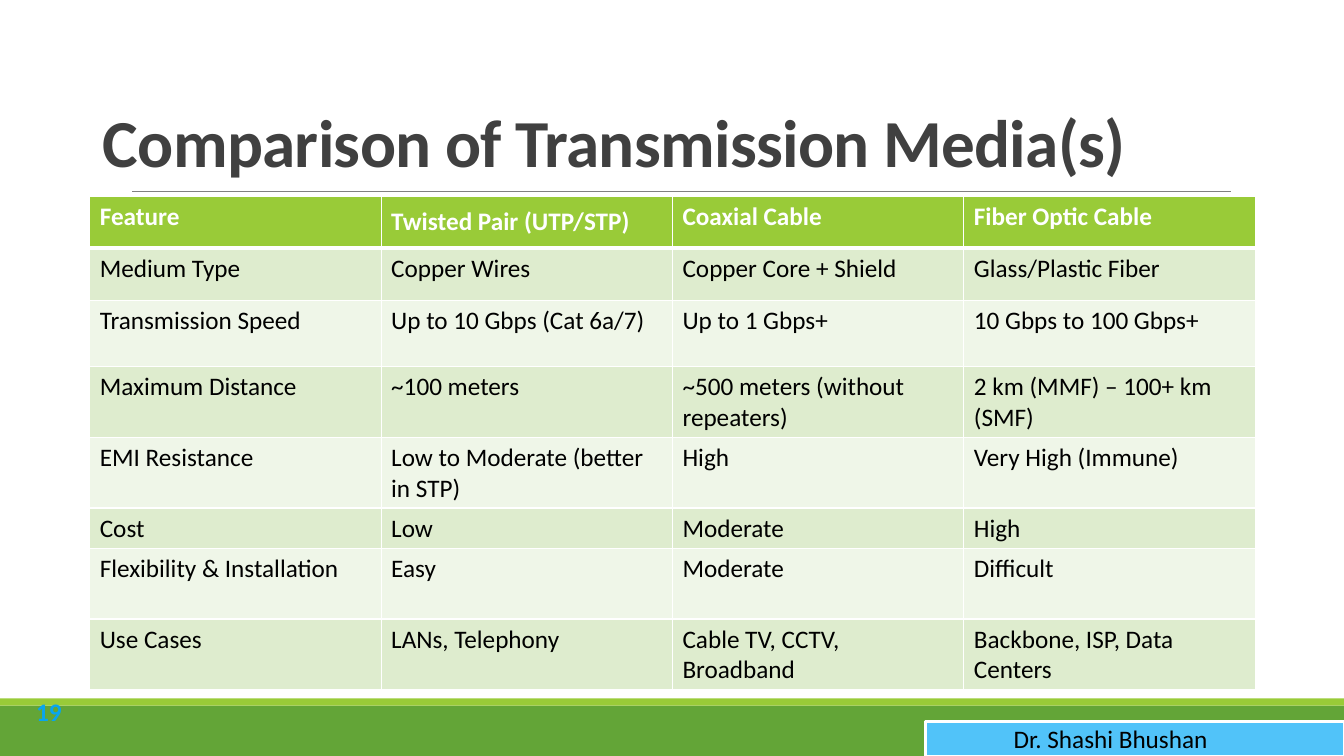
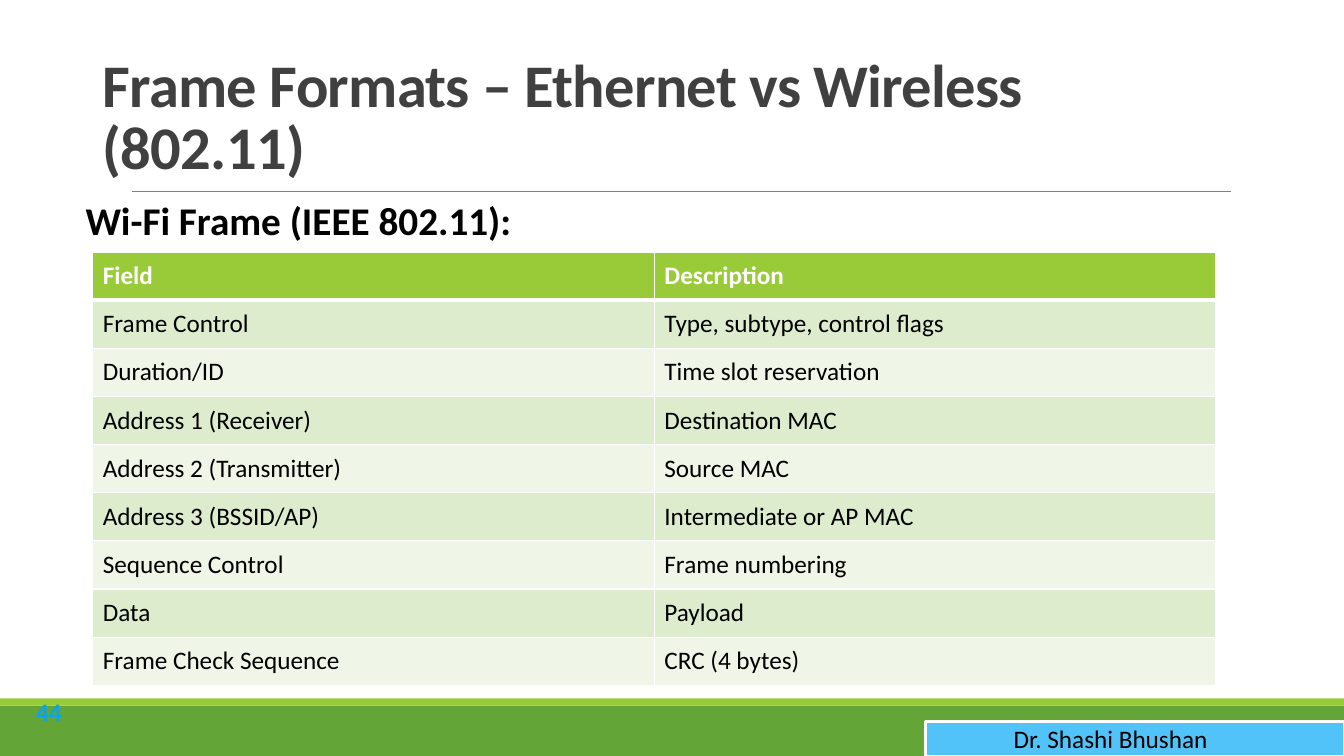
from lxml import etree
from pptx import Presentation
from pptx.dml.color import RGBColor
from pptx.enum.shapes import MSO_CONNECTOR, MSO_SHAPE
from pptx.enum.text import MSO_ANCHOR, MSO_AUTO_SIZE, PP_ALIGN
from pptx.oxml.ns import qn
from pptx.util import Inches, Pt

STRAIGHT, RECTANGLE = MSO_CONNECTOR.STRAIGHT, MSO_SHAPE.RECTANGLE
TOP, MIDDLE, BOTTOM = MSO_ANCHOR.TOP, MSO_ANCHOR.MIDDLE, MSO_ANCHOR.BOTTOM
LEFT, CENTER = PP_ALIGN.LEFT, PP_ALIGN.CENTER
FIXED, GROW = MSO_AUTO_SIZE.NONE, MSO_AUTO_SIZE.SHAPE_TO_FIT_TEXT

WHITE = RGBColor(0xFF, 0xFF, 0xFF)
BLACK = RGBColor(0x00, 0x00, 0x00)
DARK_GRAY = RGBColor(0x40, 0x40, 0x40)
RULE_GRAY = RGBColor(0x80, 0x80, 0x80)
GREEN = RGBColor(0x63, 0xA5, 0x37)
LIME = RGBColor(0x99, 0xCB, 0x38)
BAND_DARK = RGBColor(0xDE, 0xEC, 0xCE)
BAND_LIGHT = RGBColor(0xEF, 0xF6, 0xE8)
SKY = RGBColor(0x51, 0xC3, 0xF9)
NUMBER_BLUE = RGBColor(0x08, 0xA5, 0xEF)

FONT = "Calibri"
SLIDE_WIDTH, SLIDE_HEIGHT = 13.33, 7.5
TITLE_ONLY = 5
AUTHOR = "Dr. Shashi Bhushan"

MEDIA_ROWS = [
    ("Feature", "Twisted Pair (UTP/STP)", "Coaxial Cable", "Fiber Optic Cable"),
    ("Medium Type", "Copper Wires", "Copper Core + Shield", "Glass/Plastic Fiber"),
    ("Transmission Speed", "Up to 10 Gbps (Cat 6a/7)", "Up to 1 Gbps+", "10 Gbps to 100 Gbps+"),
    ("Maximum Distance", "~100 meters", "~500 meters (without repeaters)",
     "2 km (MMF) – 100+ km (SMF)"),
    ("EMI Resistance", "Low to Moderate (better in STP)", "High", "Very High (Immune)"),
    ("Cost", "Low", "Moderate", "High"),
    ("Flexibility & Installation", "Easy", "Moderate", "Difficult"),
    ("Use Cases", "LANs, Telephony", "Cable TV, CCTV, Broadband", "Backbone, ISP, Data Centers"),
]
MEDIA_HEIGHTS = [0.51, 0.52, 0.66, 0.7, 0.7, 0.4, 0.7, 0.7]

FRAME_ROWS = [
    ("Field", "Description"),
    ("Frame Control", "Type, subtype, control flags"),
    ("Duration/ID", "Time slot reservation"),
    ("Address 1 (Receiver)", "Destination MAC"),
    ("Address 2 (Transmitter)", "Source MAC"),
    ("Address 3 (BSSID/AP)", "Intermediate or AP MAC"),
    ("Sequence Control", "Frame numbering"),
    ("Data", "Payload"),
    ("Frame Check Sequence", "CRC (4 bytes)"),
]


def to_inches(box):
    return [Inches(length) for length in box]


def style_paragraph(para, size, color, bold=False, align=LEFT):
    para.alignment = align
    para.font.name = FONT
    para.font.size = Pt(size)
    para.font.bold = bold
    para.font.color.rgb = color


def add_rectangle(slide, box, fill, line=None):
    shape = slide.shapes.add_shape(RECTANGLE, *to_inches(box))
    shape.shadow.inherit = False
    shape.fill.solid()
    shape.fill.fore_color.rgb = fill
    if line is None:
        shape.line.fill.background()
    else:
        shape.line.color.rgb = line
        shape.line.width = Pt(2)


def add_text(slide, box, text, size, color, bold=False, align=LEFT,
             anchor=TOP, auto_size=GROW):
    frame = slide.shapes.add_textbox(*to_inches(box)).text_frame
    frame.word_wrap = True
    frame.auto_size = auto_size
    frame.vertical_anchor = anchor
    frame.text = text
    style_paragraph(frame.paragraphs[0], size, color, bold, align)


def set_title(slide, box, text, size):
    title = slide.shapes.title
    title.left, title.top, title.width, title.height = to_inches(box)
    frame = title.text_frame
    frame.text = text
    frame.word_wrap = True
    frame.auto_size = FIXED
    frame.vertical_anchor = BOTTOM
    para = frame.paragraphs[0]
    para.line_spacing = 0.85
    style_paragraph(para, size, DARK_GRAY, bold=True)
    # Slightly tightened letters
    para.runs[0]._r.get_or_add_rPr().set("spc", "-50")


def add_rule(slide, left, right, top):
    rule = slide.shapes.add_connector(
        STRAIGHT, Inches(left), Inches(top), Inches(right), Inches(top))
    rule.line.color.rgb = RULE_GRAY
    rule.line.width = Pt(0.5)
    etree.SubElement(rule._element.spPr, qn("a:effectLst"))


def add_footer(slide, box, number):
    left, top, width, height = box
    strip = 0.07
    add_rectangle(slide, box, GREEN)
    add_rectangle(slide, (left, top - strip, width, strip), LIME)
    # Author label at the right edge
    label_width = 4.15
    label_left = left + width - label_width
    add_rectangle(slide, (label_left, top + 0.16, label_width, height - 0.16), SKY, WHITE)
    add_text(slide, (label_left, top + 0.13, 3.67, 0.4), AUTHOR, 18, BLACK, align=CENTER)
    # Page number
    add_text(slide, (left + 0.21, top - 0.2, 0.55, 0.51), number, 18, NUMBER_BLUE,
             bold=True, align=CENTER, anchor=MIDDLE, auto_size=FIXED)


def set_borders(cell, widths):
    properties = cell._tc.get_or_add_tcPr()
    for side, width in zip("LRTB", widths):
        line = etree.SubElement(properties, qn("a:ln" + side), w=str(Pt(width)))
        fill = etree.SubElement(line, qn("a:solidFill"))
        etree.SubElement(fill, qn("a:srgbClr"), val=str(WHITE))


def add_banded_table(slide, box, rows, heights, anchor):
    table = slide.shapes.add_table(len(rows), len(rows[0]), *to_inches(box)).table
    table.horz_banding = False
    for column in table.columns:
        column.width = Inches(box[2] / len(rows[0]))
    for row_index, (texts, height) in enumerate(zip(rows, heights)):
        header = row_index == 0
        table.rows[row_index].height = Inches(height)
        fill = LIME if header else (BAND_LIGHT, BAND_DARK)[row_index % 2]
        # The thick line under the header is shared with the first body row
        borders = (1, 1, 3 if row_index == 1 else 1, 3 if header else 1)
        for column_index, text in enumerate(texts):
            cell = table.cell(row_index, column_index)
            set_borders(cell, borders)
            cell.fill.solid()
            cell.fill.fore_color.rgb = fill
            cell.vertical_anchor = anchor
            cell.text = text
            style_paragraph(cell.text_frame.paragraphs[0], 18,
                            WHITE if header else BLACK, bold=header)
    return table


def add_titled_slide(deck, title, title_size, number):
    slide = deck.slides.add_slide(deck.slide_layouts[TITLE_ONLY])
    add_footer(slide, (0, 7, SLIDE_WIDTH, 0.5), number)
    add_rule(slide, 1.31, 12.21, 1.9)
    set_title(slide, (0.92, 0.4, 10.77, 1.45), title, title_size)
    return slide


def add_media_slide(deck):
    slide = add_titled_slide(deck, "Comparison of Transmission Media(s)", 48, "19")
    table = add_banded_table(slide, (0.89, 1.95, 11.56, sum(MEDIA_HEIGHTS)),
                             MEDIA_ROWS, MEDIA_HEIGHTS, TOP)
    table.cell(0, 1).vertical_anchor = MIDDLE


def add_frame_slide(deck):
    slide = add_titled_slide(
        deck, "Frame Formats – Ethernet vs Wireless (802.11)", 43.2, "44")
    add_text(slide, (0.75, 1.9, 11.66, 0.57), "Wi-Fi Frame (IEEE 802.11):", 28, BLACK, bold=True)
    height = 4.3
    row_heights = [height / len(FRAME_ROWS)] * len(FRAME_ROWS)
    add_banded_table(slide, (0.92, 2.5, 11.14, height), FRAME_ROWS, row_heights, MIDDLE)


def main():
    deck = Presentation()
    deck.slide_width = Inches(SLIDE_WIDTH)
    deck.slide_height = Inches(SLIDE_HEIGHT)
    add_media_slide(deck)
    add_frame_slide(deck)
    deck.save("out.pptx")


if __name__ == "__main__":
    main()
